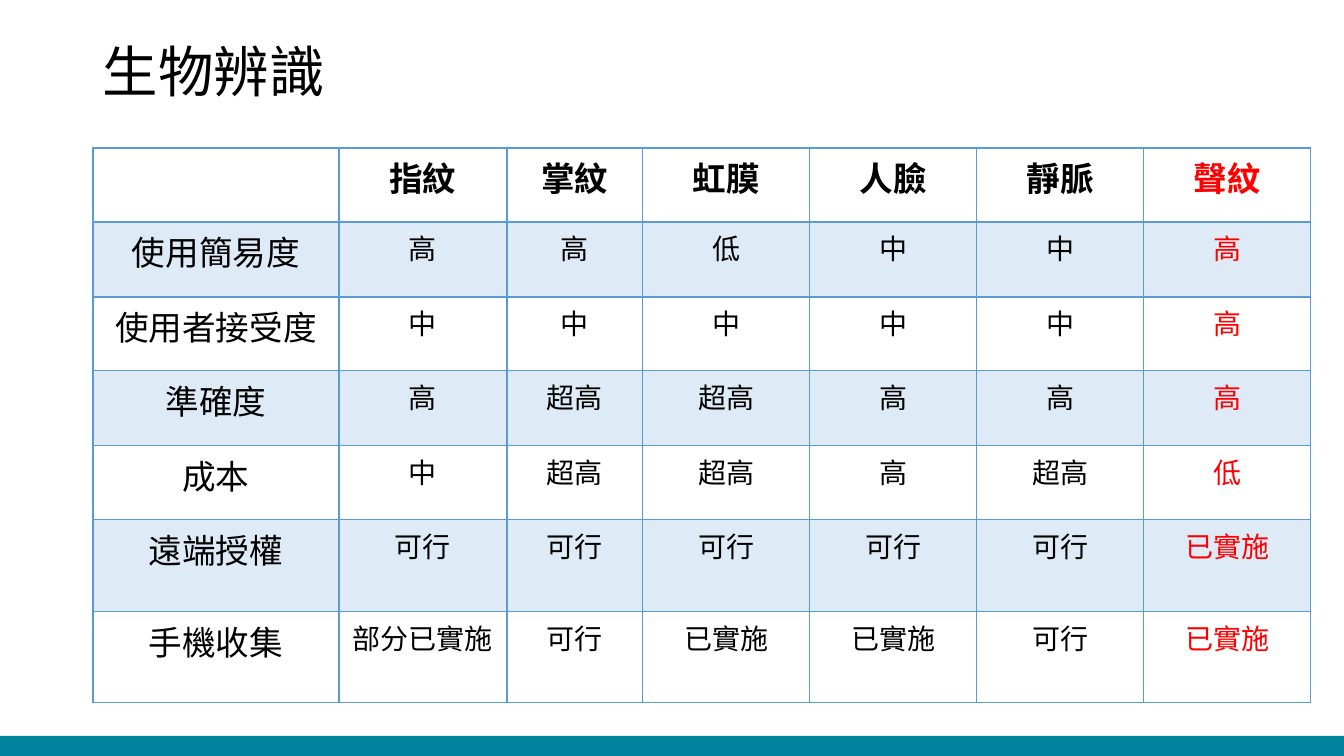
from lxml import etree
from pptx import Presentation
from pptx import util as u
from pptx.dml.color import RGBColor
from pptx.enum import shapes, text
from pptx.oxml.ns import qn

TITLE = "生物辨識"
ROWS = [
    ("", "指紋", "掌紋", "虹膜", "人臉", "靜脈", "聲紋"),
    ("使用簡易度", "高", "高", "低", "中", "中", "高"),
    ("使用者接受度", "中", "中", "中", "中", "中", "高"),
    ("準確度", "高", "超高", "超高", "高", "高", "高"),
    ("成本", "中", "超高", "超高", "高", "超高", "低"),
    ("遠端授權", "可行", "可行", "可行", "可行", "可行", "已實施"),
    ("手機收集", "部分已實施", "可行", "已實施", "已實施", "可行", "已實施"),
]
COLUMN_WIDTHS = [246, 168, 136] + [167] * 4
ROW_HEIGHTS = [74, 75, 74, 75, 74, 92, 91]

FONT = "Noto Sans CJK SC"
BLACK = RGBColor(0x00, 0x00, 0x00)
RED = RGBColor(0xFF, 0x00, 0x00)
TEAL = RGBColor(0x00, 0x82, 0x9C)
BORDER = RGBColor(0x5B, 0x9B, 0xD5)
BAND = RGBColor(0xDE, 0xEB, 0xF7)

SLIDE_WIDTH, SLIDE_HEIGHT = 1344, 756
BAR_TOP = 736
LEFT = 93


def px(length):
    return u.Emu(round(length * 914400 / 100.8))


def style_text(paragraph, size, color, bold=False):
    for run in paragraph.runs:
        run.font.size = u.Pt(size)
        run.font.bold = bold
        run.font.color.rgb = color
        run.font.name = FONT
        etree.SubElement(run.font._element, qn("a:ea"), typeface=FONT)


def add_borders(cell, bottom_width):
    properties = cell._tc.get_or_add_tcPr()
    for side, width in (("L", 1), ("R", 1), ("T", 1), ("B", bottom_width)):
        line = etree.SubElement(properties, qn(f"a:ln{side}"), w=str(u.Pt(width)))
        fill = etree.SubElement(line, qn("a:solidFill"))
        etree.SubElement(fill, qn("a:srgbClr"), val=str(BORDER))


def add_title(slide):
    box = slide.shapes.add_textbox(px(LEFT), px(40), px(538), px(70))
    frame = box.text_frame
    frame.word_wrap = True
    frame.vertical_anchor = text.MSO_ANCHOR.MIDDLE
    frame.text = TITLE
    frame.paragraphs[0].line_spacing = 0.9
    style_text(frame.paragraphs[0], 39.6, BLACK)


def add_footer_bar(slide):
    bar = slide.shapes.add_shape(
        shapes.MSO_SHAPE.RECTANGLE, 0, px(BAR_TOP), px(SLIDE_WIDTH), px(SLIDE_HEIGHT - BAR_TOP)
    )
    bar.shadow.inherit = False
    bar.fill.solid()
    bar.fill.fore_color.rgb = TEAL
    bar.line.fill.background()


def add_comparison(slide):
    table = slide.shapes.add_table(
        len(ROWS), len(COLUMN_WIDTHS), px(LEFT), px(148),
        px(sum(COLUMN_WIDTHS)), px(sum(ROW_HEIGHTS)),
    ).table
    table.first_row = table.horz_banding = False
    for column, width in zip(table.columns, COLUMN_WIDTHS):
        column.width = px(width)
    for row, height in zip(table.rows, ROW_HEIGHTS):
        row.height = px(height)

    last_column = len(COLUMN_WIDTHS) - 1
    for row_index, values in enumerate(ROWS):
        is_header = row_index == 0
        for column_index, value in enumerate(values):
            cell = table.cell(row_index, column_index)
            add_borders(cell, 2 if is_header else 1)
            if row_index % 2:
                cell.fill.solid()
                cell.fill.fore_color.rgb = BAND
            else:
                cell.fill.background()
            cell.text_frame.text = value
            paragraph = cell.text_frame.paragraphs[0]
            paragraph.alignment = text.PP_ALIGN.CENTER
            size = 24 if is_header or column_index == 0 else 20
            color = RED if column_index == last_column else BLACK
            style_text(paragraph, size, color, is_header)


def main():
    presentation = Presentation()
    presentation.slide_width = px(SLIDE_WIDTH)
    presentation.slide_height = px(SLIDE_HEIGHT)
    slide = presentation.slides.add_slide(presentation.slide_layouts[6])
    add_title(slide)
    add_footer_bar(slide)
    add_comparison(slide)
    presentation.save("out.pptx")


if __name__ == "__main__":
    main()
